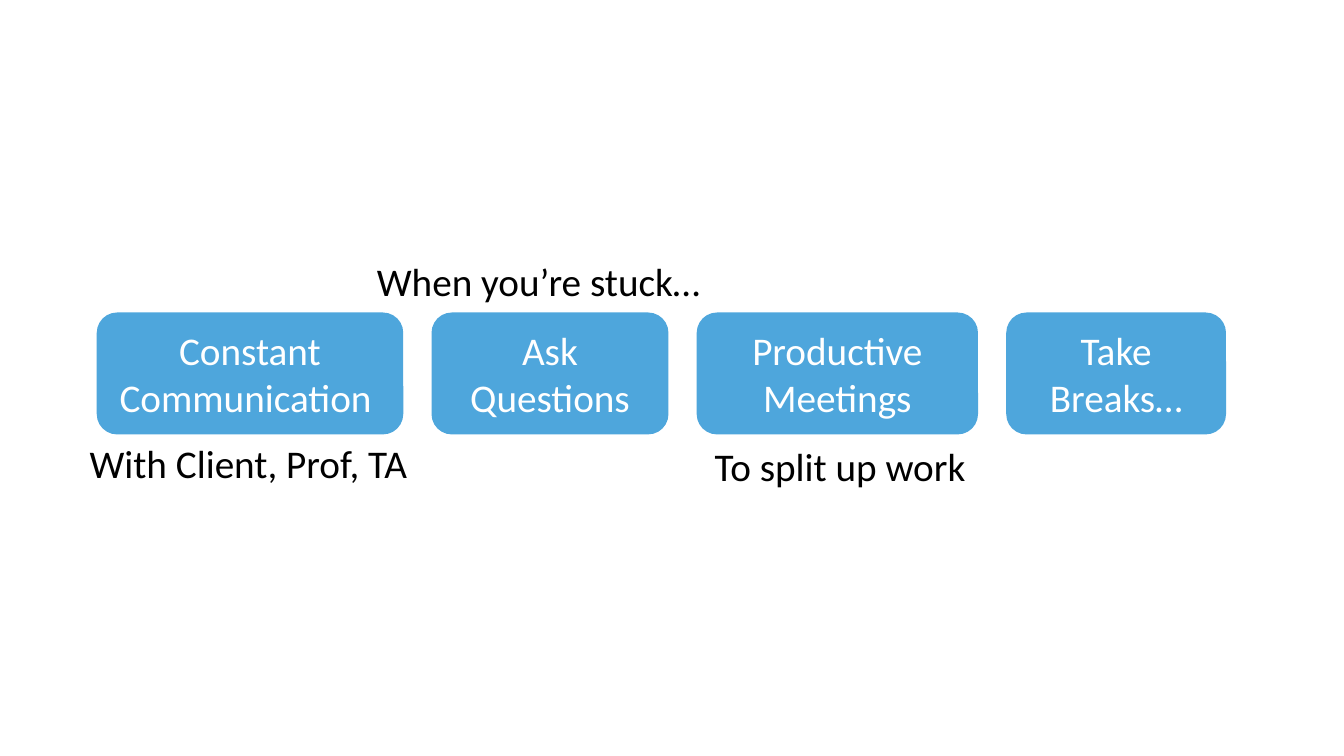
from dataclasses import dataclass

from pptx import Presentation
from pptx.dml.color import RGBColor
from pptx.enum.shapes import MSO_SHAPE
from pptx.enum.text import MSO_ANCHOR, MSO_AUTO_SIZE, PP_ALIGN
from pptx.util import Pt

ROUNDED = MSO_SHAPE.ROUNDED_RECTANGLE
MIDDLE = MSO_ANCHOR.MIDDLE
GROW = MSO_AUTO_SIZE.SHAPE_TO_FIT_TEXT
CENTER, LEFT = PP_ALIGN.CENTER, PP_ALIGN.LEFT
PX = 9144  # 100 px to the inch


@dataclass(frozen=True)
class Theme:
    font: str = "Calibri"
    size: int = 28
    card: RGBColor = RGBColor(0x4E, 0xA6, 0xDC)
    card_text: RGBColor = RGBColor(0xFF, 0xFF, 0xFF)
    note_text: RGBColor = RGBColor(0x00, 0x00, 0x00)


THEME = Theme()


def write(box, text, color, alignment):
    box.text_frame.text = text
    para = box.text_frame.paragraphs[0]
    para.alignment = alignment
    font = para.runs[0].font
    font.name, font.size, font.color.rgb = THEME.font, Pt(THEME.size), color


deck = Presentation()
deck.slide_width, deck.slide_height = 1333 * PX, 750 * PX
page = deck.slides.add_slide(deck.slide_layouts[6])

# Row of tips: text and width, set at equal gaps
TIPS = [
    ("Constant Communication ", 304),
    ("Ask Questions", 235),
    ("Productive Meetings", 279),
    ("Take Breaks…", 218),
]
ROW_TOP, ROW_HEIGHT, GAP = 310, 121, 28
left = 96
for text, width in TIPS:
    card = page.shapes.add_shape(ROUNDED, left * PX, ROW_TOP * PX, width * PX, ROW_HEIGHT * PX)
    card.shadow.inherit = False
    card.fill.solid()
    card.fill.fore_color.rgb = THEME.card
    card.line.fill.background()
    card.text_frame.word_wrap = True
    card.text_frame.vertical_anchor = MIDDLE
    write(card, text, THEME.card_text, CENTER)
    left += width + GAP

# Remarks above and below the row: text, left, top, width
NOTES = [
    ("With Client, Prof, TA", 79, 431, 338),
    ("When you’re stuck…", 364, 250, 347),
    ("To split up work", 699, 434, 272),
]
for text, left, top, width in NOTES:
    note = page.shapes.add_textbox(left * PX, top * PX, width * PX, 57 * PX)
    note.text_frame.word_wrap = False
    note.text_frame.auto_size = GROW
    write(note, text, THEME.note_text, LEFT)

deck.save("out.pptx")
